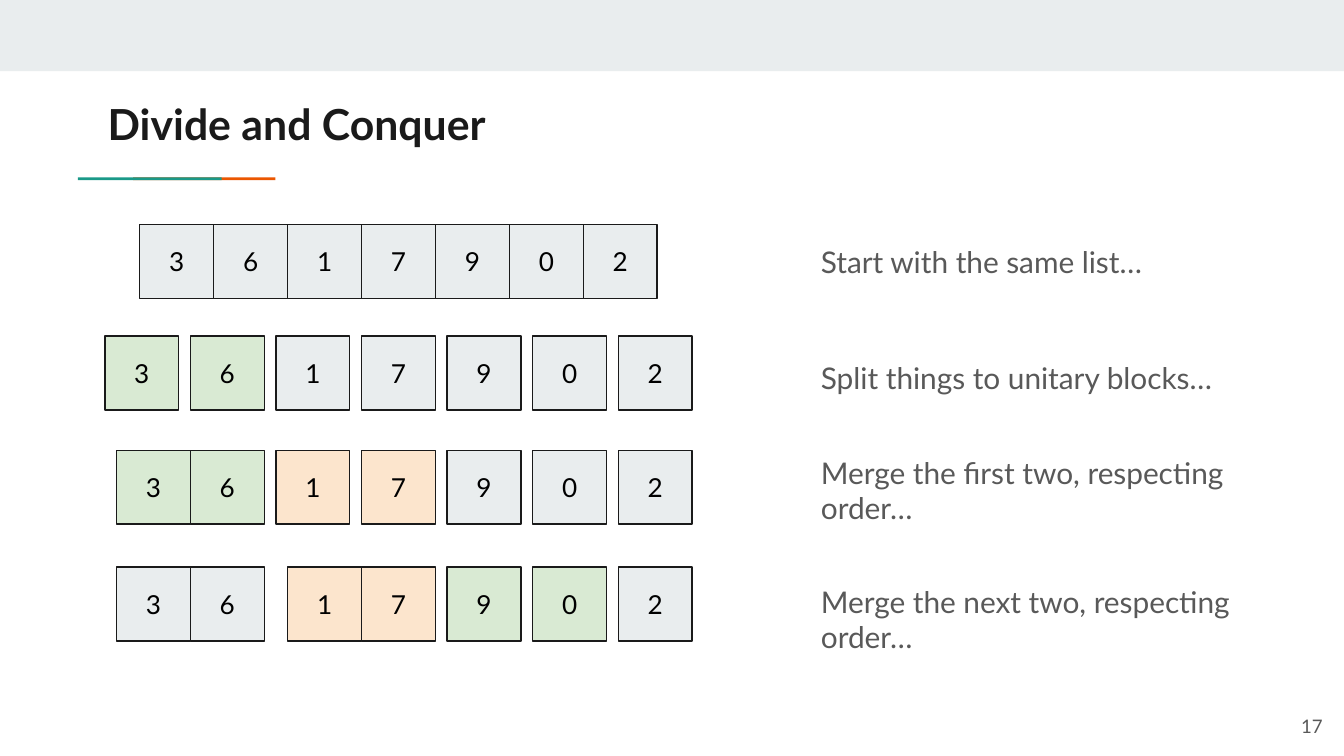
from pptx import Presentation
from pptx.dml.color import RGBColor
from pptx.enum.shapes import MSO_SHAPE
from pptx.enum.text import MSO_ANCHOR, MSO_AUTO_SIZE, PP_ALIGN
from pptx.util import Inches, Pt

COLORS = {
    "ink": "1A1A1A",
    "digit": "000000",
    "note": "595959",
    "plain": "E9EDEE",
    "green": "D9EAD3",
    "peach": "FCE5CD",
    "teal": "1A9988",
    "orange": "EB5600",
}
FILLS = {"-": "plain", "g": "green", "p": "peach"}
FONT = "Lato"
DIGITS = "3617902"
BLOCK = 0.55
BOARD_LEFT, BOARD_WIDTH = 0.78, 4.37
NOTE_LEFT, NOTE_WIDTH, NOTE_HEIGHT = 6.01, 3.33, 0.47

ROWS = [
    {"top": 1.67, "note_top": 1.71, "anchor_slots": "3333333", "fills": "-------",
     "note": "Start with the same list…"},
    {"top": 2.5, "note_top": 2.58, "anchor_slots": "0123456", "fills": "gg-----",
     "note": "Split things to unitary blocks…"},
    {"top": 3.35, "note_top": 3.28, "anchor_slots": "1123456", "fills": "ggpp---",
     "note": "Merge the first two, respecting order…"},
    {"top": 4.22, "note_top": 4.24, "anchor_slots": "1133456", "fills": "--ppgg-",
     "note": "Merge the next two, respecting order…"},
]


def rgb(name):
    return RGBColor.from_string(COLORS[name])


def write_text(shape, text, size, color, align=PP_ALIGN.LEFT,
               anchor=MSO_ANCHOR.TOP, bold=False, side_margin=0.1):
    frame = shape.text_frame
    frame_format = {
        "word_wrap": True,
        "auto_size": MSO_AUTO_SIZE.NONE,
        "vertical_anchor": anchor,
        "margin_left": Inches(side_margin),
        "margin_right": Inches(side_margin),
        "margin_top": Inches(0.1),
        "margin_bottom": Inches(0.1),
    }
    for name, value in frame_format.items():
        setattr(frame, name, value)
    paragraph = frame.paragraphs[0]
    paragraph.alignment = align
    run = paragraph.add_run()
    run.text = text
    for name, value in {"name": FONT, "size": Pt(size), "bold": bold}.items():
        setattr(run.font, name, value)
    run.font.color.rgb = rgb(color)


def add_rectangle(slide, box, fill, line=None):
    shape = slide.shapes.add_shape(MSO_SHAPE.RECTANGLE, *map(Inches, box))
    shape.shadow.inherit = False
    shape.fill.solid()
    shape.fill.fore_color.rgb = rgb(fill)
    if line:
        shape.line.color.rgb = rgb(line)
        shape.line.width = Pt(0.75)
    else:
        shape.line.fill.background()
    return shape


def add_text(slide, box, text, size, color, **options):
    shape = slide.shapes.add_textbox(*map(Inches, box))
    write_text(shape, text, size, color, **options)


def add_header(slide, left, top, width):
    add_rectangle(slide, (left, top, width, 0.53), "plain")
    add_rectangle(slide, (left + 0.99, top + 1.32, 1.06, 0.02), "orange")
    add_rectangle(slide, (left + 0.58, top + 1.32, 1.07, 0.02), "teal")
    title = slide.shapes.title
    position = {"left": left + 0.8, "top": top + 0.63, "width": 8.41, "height": 0.59}
    for name, value in position.items():
        setattr(title, name, Inches(value))
    write_text(title, "Divide and Conquer", 22.9, "ink", bold=True, side_margin=0)


def add_block_row(slide, left, top, width, anchor_slots, fills):
    pitch = (width - BLOCK) / (len(DIGITS) - 1)
    for index, (digit, anchor, fill) in enumerate(zip(DIGITS, anchor_slots, fills)):
        slot = int(anchor)
        block_left = left + slot * pitch + (index - slot) * BLOCK
        block = add_rectangle(slide, (block_left, top, BLOCK, BLOCK), FILLS[fill], "ink")
        write_text(block, digit, 14, "digit", align=PP_ALIGN.CENTER,
                   anchor=MSO_ANCHOR.MIDDLE)


def main():
    presentation = Presentation()
    presentation.slide_width = Inches(10)
    presentation.slide_height = presentation.slide_width * 9 // 16
    slide = presentation.slides.add_slide(presentation.slide_layouts[5])
    add_header(slide, 0, 0, 10)
    add_text(slide, (9.34, 5.19, 0.6, 0.43), "17", 10, "note",
             align=PP_ALIGN.RIGHT, anchor=MSO_ANCHOR.MIDDLE)
    for row in ROWS:
        add_block_row(slide, BOARD_LEFT, row["top"], BOARD_WIDTH,
                      row["anchor_slots"], row["fills"])
        add_text(slide, (NOTE_LEFT, row["note_top"], NOTE_WIDTH, NOTE_HEIGHT),
                 row["note"], 16, "note")
    presentation.save("out.pptx")


if __name__ == "__main__":
    main()
